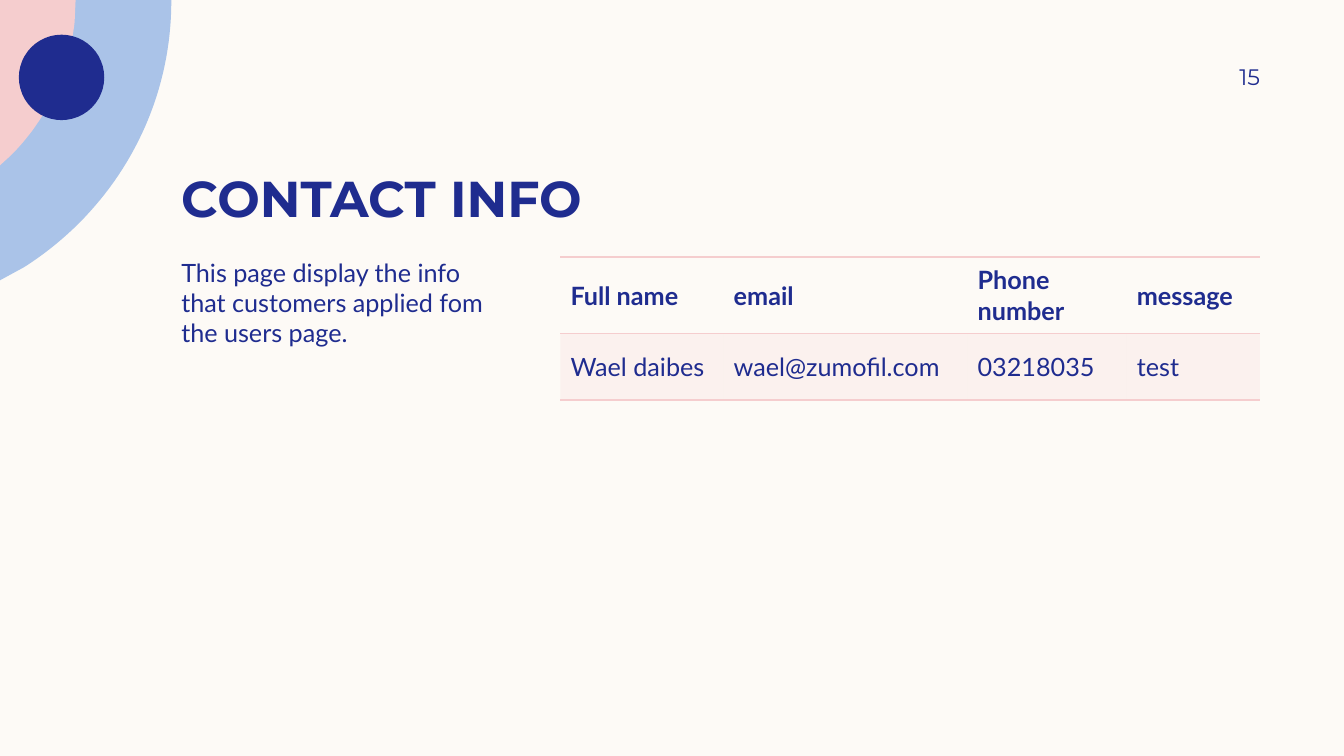
from typing import NamedTuple

from lxml import etree
from pptx import Presentation
from pptx.dml.color import RGBColor
from pptx.enum.shapes import MSO_SHAPE
from pptx.enum.text import MSO_ANCHOR, PP_ALIGN
from pptx.oxml import parse_xml
from pptx.oxml.ns import nsdecls, qn
from pptx.util import Pt

TOP, MIDDLE, BOTTOM = MSO_ANCHOR.TOP, MSO_ANCHOR.MIDDLE, MSO_ANCHOR.BOTTOM
LEFT, RIGHT = PP_ALIGN.LEFT, PP_ALIGN.RIGHT
OVAL = MSO_SHAPE.OVAL

CREAM, NAVY, BLUE, PINK = "FDFAF6", "1F2C8F", "AAC3E8", "F5CDCE"
HEADING_FONT, BODY_FONT = "Montserrat", "Lato"
NO_TABLE_STYLE = "{2D5ABB26-0587-4C30-8999-92F81FD0307C}"
CURVE_STEPS = 40

Point = tuple[float, float]


class Sector(NamedTuple):
    """Corner piece bounded by the slide edges and one Bezier curve."""
    color: str
    right: float
    curve: tuple[Point, Point, Point, Point]
    bottom: float


class TextBlock(NamedTuple):
    text: str
    box: tuple[float, float, float, float]
    insets: tuple[float, float, float, float]
    anchor: MSO_ANCHOR
    style: dict


class Column(NamedTuple):
    width: float
    header: str
    entry: str


SECTORS = [
    Sector(BLUE, 122.4, ((122.4, 0.7), (122.4, 80.6), (80.6, 150.5), (17.3, 190.8)), 200.2),
    Sector(PINK, 54, ((53.3, 15.8), (49, 52.6), (33.1, 85.7), (7.9, 110.9)), 118.1),
]
TEXT_BLOCKS = [
    TextBlock("CONTACT INFO", (122.4, 85.7, 777.6, 77), (7.2, 0, 7.2, 0), BOTTOM,
              dict(size=36, font=HEADING_FONT, bold=True)),
    TextBlock("This page display the info that customers applied fom the users page.",
              (122.4, 183.6, 234, 291.6), (7.2, 0, 7.2, 0), TOP, dict(space_after=12)),
    TextBlock("15", (815.8, 36, 84.2, 37.4), (7.2, 3.6, 0, 3.6), MIDDLE,
              dict(size=16, font=HEADING_FONT, align=RIGHT)),
]
COLUMNS = [
    Column(116.6, "Full name", "Wael daibes"),
    Column(174.2, "email", "wael@zumofil.com"),
    Column(113.8, "Phone number", "03218035"),
    Column(95, "message", "test"),
]
ROW_HEIGHTS = (54.7, 47.5)


def paint(fill, color: str) -> None:
    fill.solid()
    fill.fore_color.rgb = RGBColor.from_string(color)


def write(frame, text: str, *, size: float = 18, font: str = BODY_FONT, color: str = NAVY,
          bold: bool = False, align: PP_ALIGN = LEFT, space_after: float = 0) -> None:
    paragraph = frame.paragraphs[0]
    paragraph.alignment = align
    paragraph.space_after = Pt(space_after)
    run = paragraph.add_run()
    run.text = text
    run.font.size, run.font.name, run.font.bold = Pt(size), font, bold
    run.font.color.rgb = RGBColor.from_string(color)


def finish_shape(shape, color: str) -> None:
    paint(shape.fill, color)
    shape.line.fill.background()
    shape.shadow.inherit = False


def curve_point(curve: tuple[Point, Point, Point, Point], t: float) -> Point:
    weights = ((1 - t) ** 3, 3 * t * (1 - t) ** 2, 3 * t * t * (1 - t), t ** 3)
    x, y = (sum(w * point[axis] for w, point in zip(weights, curve)) for axis in (0, 1))
    return x, y


def add_sector(slide, sector: Sector) -> None:
    curve = [curve_point(sector.curve, step / CURVE_STEPS) for step in range(CURVE_STEPS + 1)]
    outline = [(sector.right, 0), *curve, (0, sector.bottom)]
    builder = slide.shapes.build_freeform(0, 0)
    builder.add_line_segments([(Pt(x), Pt(y)) for x, y in outline], close=True)
    finish_shape(builder.convert_to_shape(), sector.color)


def add_text(slide, block: TextBlock) -> None:
    frame = slide.shapes.add_textbox(*map(Pt, block.box)).text_frame
    frame.word_wrap = True
    frame.vertical_anchor = block.anchor
    (frame.margin_left, frame.margin_top,
     frame.margin_right, frame.margin_bottom) = map(Pt, block.insets)
    write(frame, block.text, **block.style)


def add_border(cell, side: str, color: str, width: float = 1) -> None:
    cell._tc.get_or_add_tcPr().append(parse_xml(
        f'<a:{side} {nsdecls("a")} w="{Pt(width)}"><a:solidFill>'
        f'<a:srgbClr val="{color}"/></a:solidFill></a:{side}>'))


def add_tint(cell, color: str, opacity: int) -> None:
    paint(cell.fill, color)
    swatch = cell._tc.tcPr.find(qn("a:solidFill")).find(qn("a:srgbClr"))
    etree.SubElement(swatch, qn("a:alpha"), val=str(opacity * 1000))


def add_contact_table(slide, left: float, top: float) -> None:
    width = sum(column.width for column in COLUMNS)
    table = slide.shapes.add_table(len(ROW_HEIGHTS), len(COLUMNS), Pt(left), Pt(top),
                                   Pt(width), Pt(sum(ROW_HEIGHTS))).table
    table.horz_banding = False
    table._tbl.tblPr.find(qn("a:tableStyleId")).text = NO_TABLE_STYLE
    for row, height in zip(table.rows, ROW_HEIGHTS):
        row.height = Pt(height)
    for index, column in enumerate(COLUMNS):
        table.columns[index].width = Pt(column.width)
        header, entry = table.cell(0, index), table.cell(1, index)
        add_border(header, "lnT", PINK)
        for cell, text in ((header, column.header), (entry, column.entry)):
            cell.vertical_anchor = MIDDLE
            add_border(cell, "lnB", PINK)
            write(cell.text_frame, text, bold=cell is header)
        header.fill.background()
        add_tint(entry, PINK, 20)


def main() -> None:
    deck = Presentation()
    deck.slide_width, deck.slide_height = Pt(960), Pt(540)
    slide = deck.slides.add_slide(deck.slide_layouts[6])
    paint(slide.background.fill, CREAM)
    for sector in SECTORS:
        add_sector(slide, sector)
    dot = slide.shapes.add_shape(OVAL, Pt(13.5), Pt(24.8), Pt(61), Pt(61))
    finish_shape(dot, NAVY)
    for block in TEXT_BLOCKS:
        add_text(slide, block)
    add_contact_table(slide, 400.3, 183.6)
    deck.save("out.pptx")


if __name__ == "__main__":
    main()
